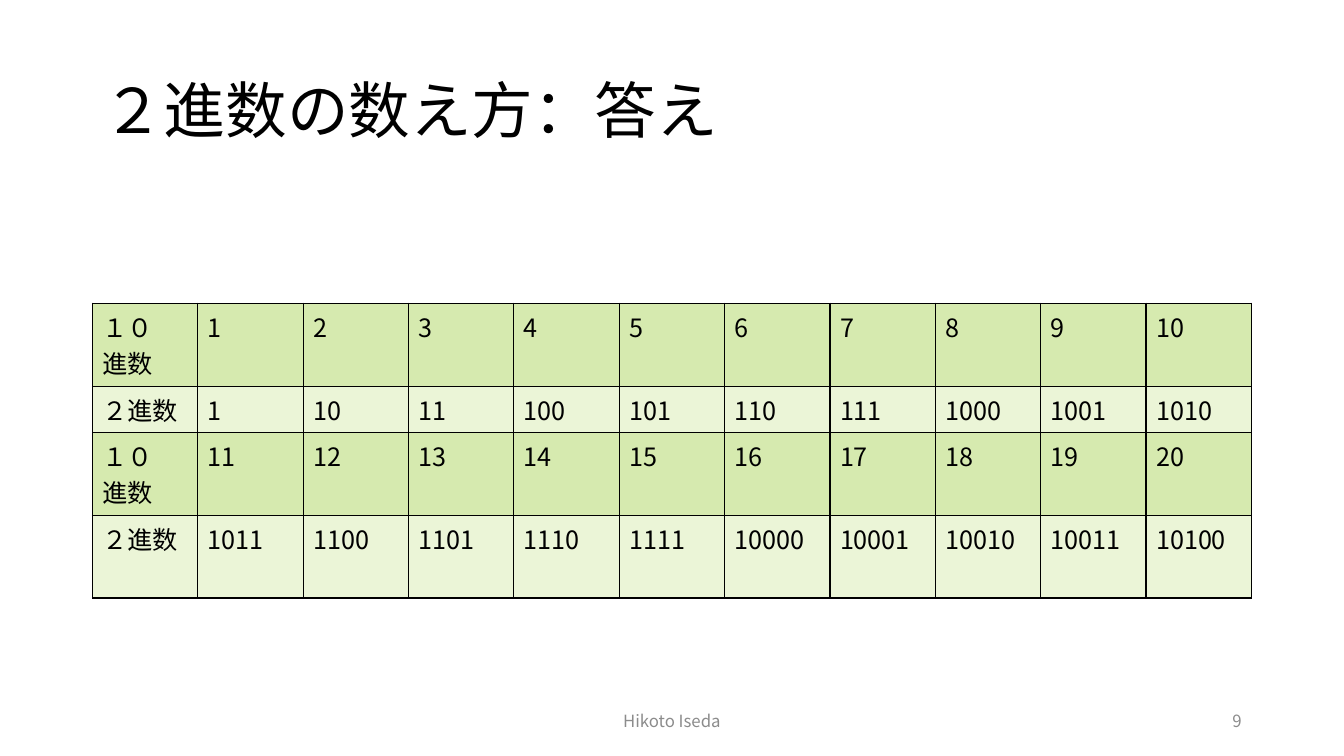
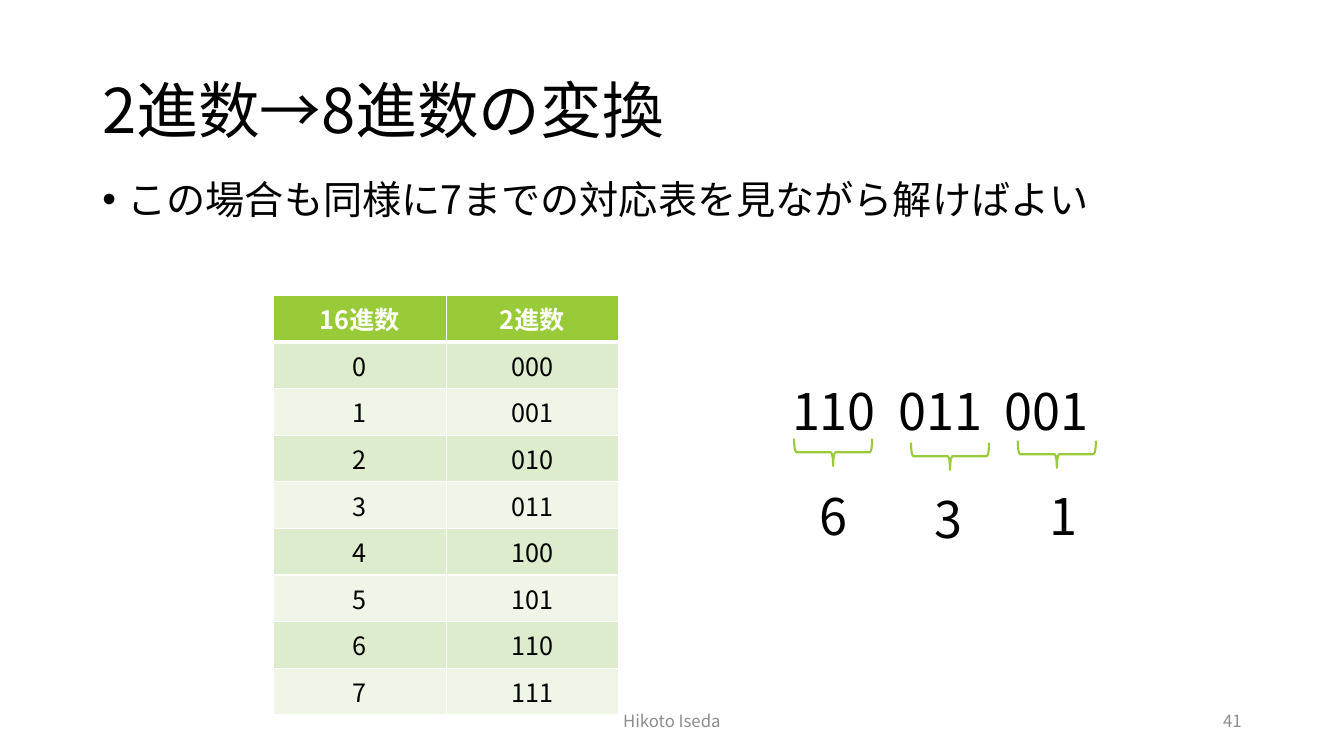
import pptx
import pptx.dml.color
import pptx.enum.shapes
import pptx.enum.text
import pptx.oxml
import pptx.oxml.ns
import pptx.util

Pt = pptx.util.Pt
PP_ALIGN = pptx.enum.text.PP_ALIGN
MSO_ANCHOR = pptx.enum.text.MSO_ANCHOR


def rgb(value):
    return pptx.dml.color.RGBColor.from_string(value)


def element(xml):
    return pptx.oxml.parse_xml(xml.replace(" ", f" {pptx.oxml.ns.nsdecls('a')} ", 1))


class Deck:
    """Hold the shared style and the slide being built."""

    FONT = "Noto Sans CJK JP"
    INK = "000000"
    GREY = "8C8C8C"
    WHITE = "FFFFFF"
    GREEN = "99CB38"
    LEFT = 66
    WIDTH = 828

    def __init__(self):
        self.prs = pptx.Presentation()
        self.prs.slide_width = Pt(960)
        self.prs.slide_height = Pt(540)
        self.s = None

    def slide(self, title):
        self.s = self.prs.slides.add_slide(self.prs.slide_layouts[6])
        tf = self.text(title, self.LEFT, 28.8, self.WIDTH, 104.4, 44, anchor=MSO_ANCHOR.MIDDLE)
        tf.paragraphs[0].line_spacing = 0.9

    def format(self, tf, size, color=INK, align=None, bold=False):
        for p in tf.paragraphs:
            p.alignment = align
            for r in p.runs:
                r.font.size = Pt(size)
                r.font.bold = bold
                r.font.color.rgb = rgb(color)
                r.font.name = self.FONT
                r.font._element.append(element(f'<a:ea typeface="{self.FONT}"/>'))

    def text(self, text, x, y, w, h, size, color=INK, align=None, anchor=MSO_ANCHOR.TOP):
        tf = self.s.shapes.add_textbox(Pt(x), Pt(y), Pt(w), Pt(h)).text_frame
        tf.word_wrap = True
        tf.vertical_anchor = anchor
        tf.text = text
        self.format(tf, size, color, align)
        return tf

    def bullet(self, text):
        tf = self.text(text, self.LEFT, 125.3, 876, 342.7, 28)
        p = tf.paragraphs[0]
        p.line_spacing = 0.9
        pPr = p._p.get_or_add_pPr()
        pPr.set("marL", str(Pt(18)))
        pPr.set("indent", str(-Pt(18)))
        pPr.append(element('<a:buFont typeface="Arial"/>'))
        pPr.append(element('<a:buChar char="•"/>'))

    def tabbed(self, items, x, y, w, h, size, pitch):
        tf = self.text("\t".join(items), x, y, w, h, size)
        stops = "".join(f'<a:tab pos="{Pt(pitch * i)}" algn="l"/>' for i in range(1, len(items)))
        tf.paragraphs[0]._p.get_or_add_pPr().append(element(f"<a:tabLst >{stops}</a:tabLst>"))

    def footer(self, number):
        middle = MSO_ANCHOR.MIDDLE
        self.text("Hikoto Iseda", 318, 500.5, 324, 28.8, 12, self.GREY, PP_ALIGN.CENTER, middle)
        self.text(str(number), 678, 500.5, 216, 28.8, 12, self.GREY, PP_ALIGN.RIGHT, middle)

    def borders(self, cell, color, **widths):
        tcPr = cell._tc.get_or_add_tcPr()
        for side in "LRTB":
            tcPr.append(element(
                f'<a:ln{side} w="{Pt(widths.get(side, 1))}"><a:solidFill>'
                f'<a:srgbClr val="{color}"/></a:solidFill></a:ln{side}>'))

    def table(self, rows, x, y, w, heights, bands, line, align=None, header=False):
        shape = self.s.shapes.add_table(
            len(rows), len(rows[0]), Pt(x), Pt(y), Pt(w), Pt(sum(heights)))
        table = shape.table
        table.first_row = header
        table.horz_banding = False
        for column in table.columns:
            column.width = Pt(w / len(rows[0]))
        for i, (values, height) in enumerate(zip(rows, heights)):
            table.rows[i].height = Pt(height)
            head = header and i == 0
            widths = {"B": 3} if head else {"T": 3} if header and i == 1 else {}
            fill = self.GREEN if head else bands[(i - header) % 2]
            for j, value in enumerate(values):
                cell = table.cell(i, j)
                self.borders(cell, line, **widths)
                cell.fill.solid()
                cell.fill.fore_color.rgb = rgb(fill)
                cell.text_frame.text = value
                self.format(cell.text_frame, 18, self.WHITE if head else self.INK, align, head)

    def brace(self, x, y):
        sp = self.s.shapes.add_shape(
            pptx.enum.shapes.MSO_SHAPE.RIGHT_BRACE, Pt(x), Pt(y), Pt(19.4), Pt(55.8))
        sp.rotation = 90
        sp.shadow.inherit = False
        sp.fill.background()
        sp.line.color.rgb = rgb(self.GREEN)
        sp.line.width = Pt(1.5)


def counting_slide(deck):
    deck.slide("２進数の数え方：答え")
    rows = []
    for start in (1, 11):
        numbers = range(start, start + 10)
        rows.append(["１０\n進数"] + [str(n) for n in numbers])
        rows.append(["２進数"] + [f"{n:b}" for n in numbers])
    deck.table(rows, deck.LEFT, 216.6, deck.WIDTH, [59.3, 32.8, 59.3, 59.3],
               ("D6EAAF", "EBF5D7"), deck.INK)
    deck.footer(9)


def octal_slide(deck):
    deck.slide("2進数→8進数の変換")
    deck.bullet("この場合も同様に7までの対応表を見ながら解けばよい")
    deck.footer(41)
    rows = [["16進数", "2進数"]] + [[str(n), f"{n:03b}"] for n in range(8)]
    deck.table(rows, 195.6, 211, 246.2, [33.3] * len(rows),
               ("DEECCE", "EFF6E8"), deck.WHITE, PP_ALIGN.CENTER, header=True)
    groups = [
        ("6", 578.2, 342.7, 585.4, 295.2),
        ("3", 660.2, 344.9, 668.9, 298),
        ("1", 742.3, 342.7, 745.2, 296.6),
    ]
    deck.tabbed([f"{int(group[0]):03b}" for group in groups], 558.7, 267.8, 237.6, 51, 36, 75.9)
    for digit, x, y, brace_x, brace_y in groups:
        deck.text(digit, x, y, 34.8, 51, 36)
        deck.brace(brace_x, brace_y)


def main():
    deck = Deck()
    counting_slide(deck)
    octal_slide(deck)
    deck.prs.save("out.pptx")


if __name__ == "__main__":
    main()
